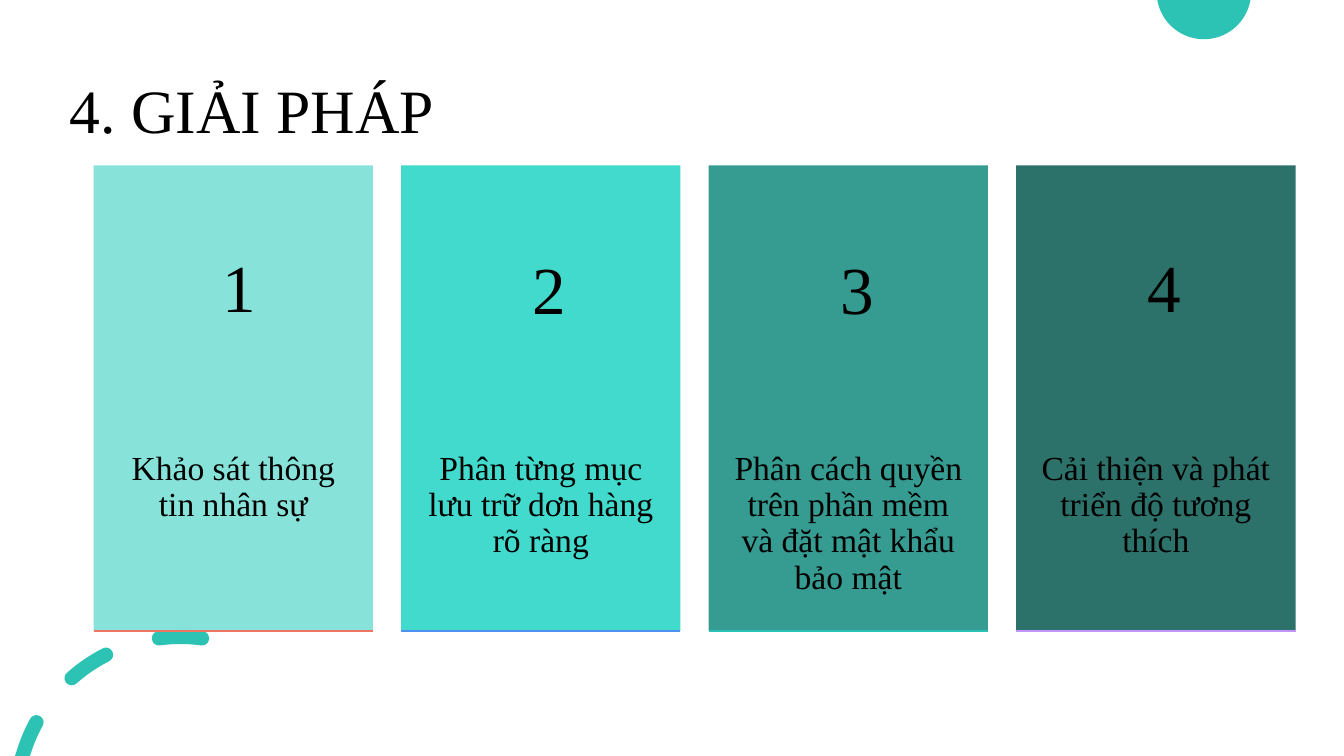
import math
import pptx
import pptx.dml.color
import pptx.enum.shapes
import pptx.enum.text
import pptx.oxml
import pptx.oxml.ns
import pptx.util

Cm = pptx.util.Cm
Pt = pptx.util.Pt
ALIGN = pptx.enum.text.PP_ALIGN
ANCHOR = pptx.enum.text.MSO_ANCHOR
TEAL = "2CC3B4"
SLIDE_HEIGHT = 19.05


def color(value):
    return pptx.dml.color.RGBColor.from_string(value)


def write(frame, text, size, align, spacing, frame_format):
    for name, value in frame_format.items():
        setattr(frame, name, value)
    para = frame.paragraphs[0]
    para.alignment = align
    para.line_spacing = spacing
    span = para.add_run()
    span.text = text
    for name, value in {"name": "Times New Roman", "size": Pt(size), "bold": False}.items():
        setattr(span.font, name, value)
    span.font.color.rgb = color("000000")


deck = pptx.Presentation()
deck.slide_width = Cm(33.87)
deck.slide_height = Cm(SLIDE_HEIGHT)
page = deck.slides.add_slide(deck.slide_layouts[5])

title = page.shapes.title
for name, value in {"left": 1.5, "top": 1.02, "width": 29.21, "height": 3.68}.items():
    setattr(title, name, Cm(value))
write(title.text_frame, "4. GIẢI PHÁP", 44, ALIGN.LEFT, 0.9,
      {"vertical_anchor": ANCHOR.MIDDLE, "word_wrap": True})

outlines = []
dot_x, dot_y, dot_radius = 30.34, -0.2, 1.19
start = math.asin(-dot_y / dot_radius)
steps = 40
outlines.append([
    (dot_x + dot_radius * math.cos(turn), dot_y + dot_radius * math.sin(turn))
    for turn in (start + (math.pi - 2 * start) * step / steps for step in range(steps + 1))
])

ring_x, ring_y, ring_radius, half_width = 4.55, 20.19, 4.14, 0.18
for first, last in [(-7.5, 7.5), (27, 41.5), (61.3, 75)]:
    outline = []
    for begin, end, side in [(first, last, 1), (last, first, -1)]:
        for step in range(13):
            turn = math.radians(begin + (end - begin) * step / 12)
            reach = ring_radius + side * half_width
            outline.append((ring_x - reach * math.sin(turn), ring_y - reach * math.cos(turn)))
        turn = math.radians(end)
        for step in range(1, 12):
            swing = turn + math.pi * step / 12 + (0 if side == 1 else math.pi)
            outline.append((
                ring_x - ring_radius * math.sin(turn) - half_width * math.sin(swing),
                ring_y - ring_radius * math.cos(turn) - half_width * math.cos(swing),
            ))
    outlines.append([(x, min(y, SLIDE_HEIGHT)) for x, y in outline])

for outline in outlines:
    points = [(Cm(x), Cm(y)) for x, y in outline]
    builder = page.shapes.build_freeform(*points[0])
    builder.add_line_segments(points[1:])
    ornament = builder.convert_to_shape()
    ornament.shadow.inherit = False
    ornament.fill.solid()
    ornament.fill.fore_color.rgb = color(TEAL)
    ornament.line.fill.background()

card_top, card_width, card_height = 4.17, 7.04, 11.73
card_bottom = card_top + card_height
cards = [
    ("Khảo sát thông tin nhân sự", "7AE1D7", "EE7661", 5.36, 6.07),
    ("Phân từng mục lưu trữ dơn hàng rõ ràng", "2DD7C7", "4E91F0", 13.18, 6.12),
    ("Phân cách quyền trên phần mềm và đặt mật khẩu bảo mật", "219287", TEAL, 20.93, 6.12),
    ("Cải thiện và phát triển độ tương thích", "16625A", "C097F8", 28.68, 6.07),
]
for index, (text, fill, rule, number_left, number_top) in enumerate(cards):
    left = 2.36 + 7.75 * index
    card = page.shapes.add_shape(pptx.enum.shapes.MSO_SHAPE.RECTANGLE,
                                 Cm(left), Cm(card_top), Cm(card_width), Cm(card_height))
    card.shadow.inherit = False
    card.fill.solid()
    card.fill.fore_color.rgb = color(fill)
    tint = card.fill._xPr.find(".//" + pptx.oxml.ns.qn("a:srgbClr"))
    tint.append(pptx.oxml.parse_xml(
        f'<a:alpha {pptx.oxml.ns.nsdecls("a")} val="90000"/>'))
    card.line.fill.background()
    write(card.text_frame, text, 24, ALIGN.CENTER, 0.9, {
        "word_wrap": True, "vertical_anchor": ANCHOR.TOP,
        "margin_left": Cm(0.5), "margin_right": Cm(0.5),
        "margin_top": Cm(7.2), "margin_bottom": Cm(0.5)})

    underline = page.shapes.add_connector(
        pptx.enum.shapes.MSO_CONNECTOR.STRAIGHT,
        Cm(left), Cm(card_bottom), Cm(left + card_width), Cm(card_bottom))
    underline.line.color.rgb = color(rule)
    underline.line.width = Pt(1)
    underline._element.spPr.append(pptx.oxml.parse_xml(
        f'<a:effectLst {pptx.oxml.ns.nsdecls("a")}/>'))

    box = page.shapes.add_textbox(Cm(number_left), Cm(number_top), Cm(1.37), Cm(2.31))
    write(box.text_frame, str(index + 1), 48, ALIGN.LEFT, 1.0, {"word_wrap": False})

deck.save("out.pptx")
